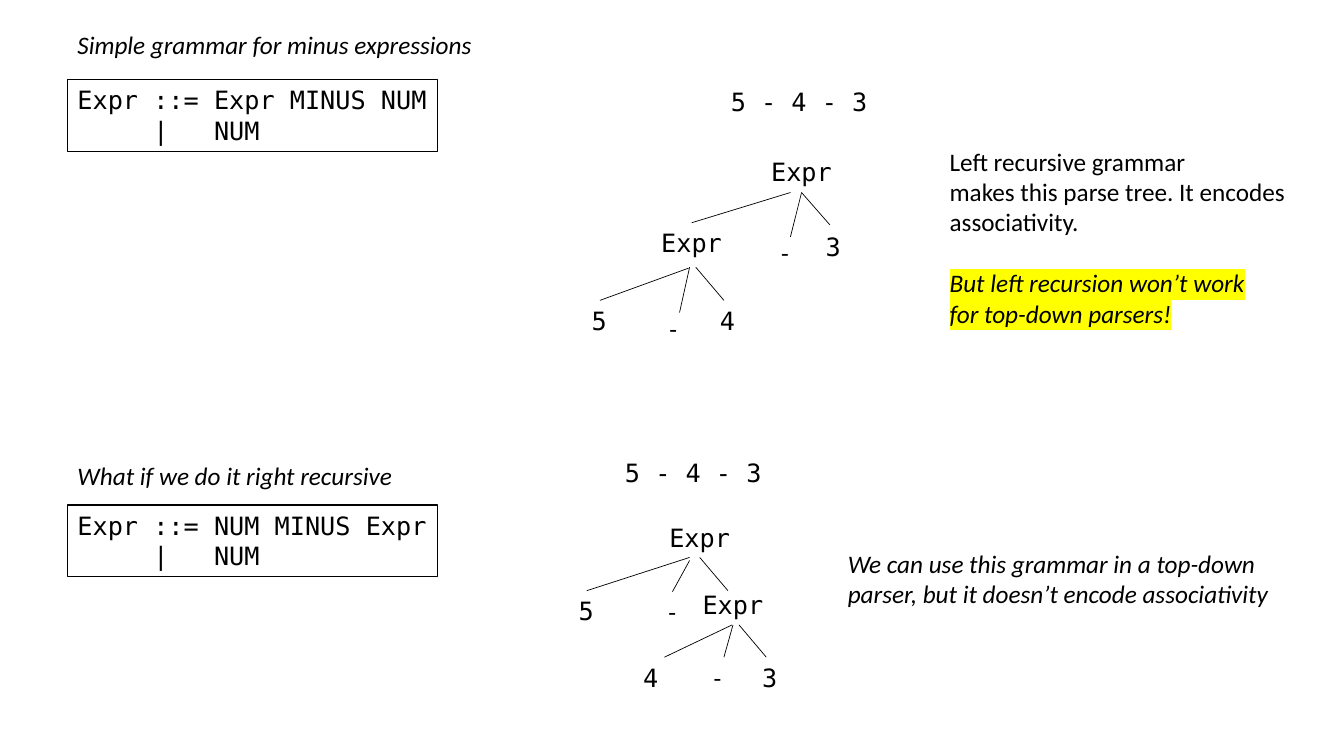
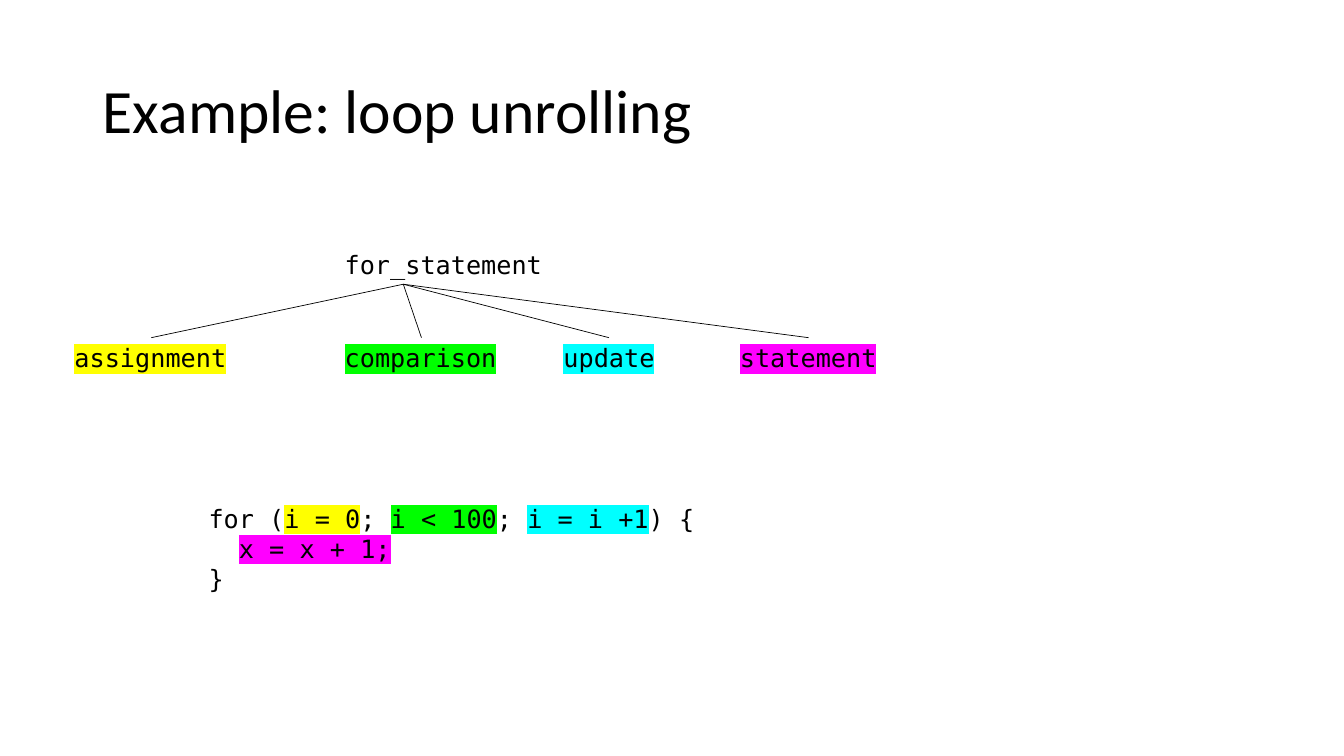
from lxml import etree
from pptx import Presentation
from pptx import util as u
from pptx.dml.color import RGBColor
from pptx.enum import shapes, text
from pptx.oxml import ns

SCALE = 9144
HUES = {
    "ink": "000000",
    "yellow": "FFFF00",
    "green": "00FF00",
    "cyan": "00FFFF",
    "pink": "FF00FF",
}
SANS = "Calibri"
MONO = "DejaVu Sans Mono"


def px(size):
    return u.Emu(size * SCALE)


def hue(name):
    return RGBColor.from_string(HUES[name])


class Deck:
    def __init__(self):
        self.prs = Presentation()
        self.prs.slide_width = px(1333)
        self.prs.slide_height = px(750)
        self.slide = None

    def page(self, title=None):
        layout = self.prs.slide_layouts[5 if title else 6]
        self.slide = self.prs.slides.add_slide(layout)
        if title:
            self.title(title)

    def title(self, words):
        head = self.slide.shapes.title
        head.left, head.top = px(92), px(40)
        head.width, head.height = px(1150), px(145)
        frame = head.text_frame
        frame.text = words
        frame.auto_size = text.MSO_AUTO_SIZE.NONE
        frame.vertical_anchor = text.MSO_ANCHOR.MIDDLE
        para = frame.paragraphs[0]
        para.alignment = text.PP_ALIGN.LEFT
        para.line_spacing = 0.9
        self.style(para.runs[0], SANS, 44)

    def style(self, run, face, size=18, slant=None, mark=None):
        font = run.font
        font.size = u.Pt(size)
        font.italic = slant
        font.color.rgb = hue("ink")
        font.name = face
        if mark:
            props = run._r.get_or_add_rPr()
            tint = etree.Element(ns.qn("a:highlight"))
            etree.SubElement(tint, ns.qn("a:srgbClr"), val=HUES[mark])
            props.find(ns.qn("a:solidFill")).addnext(tint)

    def box(self, x, y, w, lines, face, slant=None, gap=0):
        tall = round(10 + 30.4 * len(lines)) + gap
        shape = self.slide.shapes.add_textbox(px(x), px(y), px(w), px(tall))
        frame = shape.text_frame
        frame.word_wrap = False
        frame.auto_size = text.MSO_AUTO_SIZE.SHAPE_TO_FIT_TEXT
        for row, line in enumerate(lines):
            para = frame.add_paragraph() if row else frame.paragraphs[0]
            for part, mark in [(line, None)] if isinstance(line, str) else line:
                run = para.add_run()
                run.text = part
                self.style(run, face, slant=slant, mark=mark)
        return shape

    def note(self, x, y, w, *lines, slant=True):
        return self.box(x, y, w, lines, SANS, slant)

    def code(self, x, y, *lines):
        sizes = [len(n) if isinstance(n, str) else sum(len(t) for t, _ in n)
                 for n in lines]
        return self.box(x, y, round(20 + 15.1 * max(sizes)), lines, MONO)

    def rule(self, x, y, *lines):
        edge = self.code(x, y, *lines).line
        edge.color.rgb = hue("ink")
        edge.width = u.Pt(0.75)

    def tree(self, words, dashes, links):
        for x, y, word in words:
            self.code(x, y, word)
        for x, y in dashes:
            self.note(x, y, 28, "-", slant=None)
        for ends in links:
            self.link(*ends)

    def link(self, x1, y1, x2, y2):
        line = self.slide.shapes.add_connector(
            shapes.MSO_CONNECTOR.STRAIGHT, px(x1), px(y1), px(x2), px(y2))
        line.line.color.rgb = hue("ink")
        line.line.width = u.Pt(0.5)
        props = line._element.spPr
        etree.SubElement(props, ns.qn("a:effectLst"))


def grammar(deck):
    deck.page()
    deck.note(67, 24, 417, "Simple grammar for minus expressions")
    deck.rule(67, 79, "Expr ::= Expr MINUS NUM", "     |   NUM")
    deck.tree(
        [(715, 81, "5 - 4 - 3"), (755, 150, "Expr"), (646, 221, "Expr"),
         (809, 225, "3"), (577, 298, "5"), (704, 298, "4")],
        [(765, 231), (654, 306)],
        [(784, 191, 686, 221), (795, 191, 784, 235), (795, 191, 823, 223),
         (683, 266, 595, 298), (684, 265, 674, 310), (690, 265, 718, 298)])
    lines = ["Left recursive grammar", "makes this parse tree. It encodes",
             "associativity.", [("But left recursion won’t work", "yellow")],
             [("for top-down parsers!", "yellow")]]
    warn = deck.box(932, 140, 357, lines, SANS, gap=30).text_frame.paragraphs[3:]
    warn[0].space_before = u.Pt(22)
    for para in warn:
        para.runs[0].font.italic = True

    deck.note(67, 452, 336, "What if we do it right recursive")
    deck.rule(67, 501, "Expr ::= NUM MINUS Expr", "     |   NUM")
    deck.tree(
        [(610, 449, "5 - 4 - 3"), (654, 513, "Expr"), (687, 580, "Expr"),
         (564, 586, "5"), (628, 652, "4"), (746, 652, "3")],
        [(653, 587), (698, 652)],
        [(684, 553, 582, 586), (684, 556, 667, 587), (694, 553, 722, 586),
         (726, 620, 659, 652), (727, 620, 718, 652), (733, 620, 760, 652)])
    deck.note(831, 539, 445, "We can use this grammar in a top-down",
              "parser, but it doesn’t encode associativity")


def loop(deck):
    deck.page("Example: loop unrolling")
    deck.code(332, 242, "for_statement")
    kids = [(64, "assignment", "yellow", 150), (332, "comparison", "green", 418),
            (549, "update", "cyan", 604), (724, "statement", "pink", 802)]
    for x, word, mark, end in kids:
        deck.code(x, 335, [(word, mark)])
        deck.link(400, 282, end, 335)
    deck.code(
        197, 494,
        [("for (", None), ("i = 0", "yellow"), ("; ", None),
         ("i < 100", "green"), ("; ", None), ("i = i +1", "cyan"), (") {", None)],
        [("  ", None), ("x = x + 1;", "pink")],
        "}")


def main():
    deck = Deck()
    grammar(deck)
    loop(deck)
    deck.prs.save("out.pptx")


if __name__ == "__main__":
    main()
